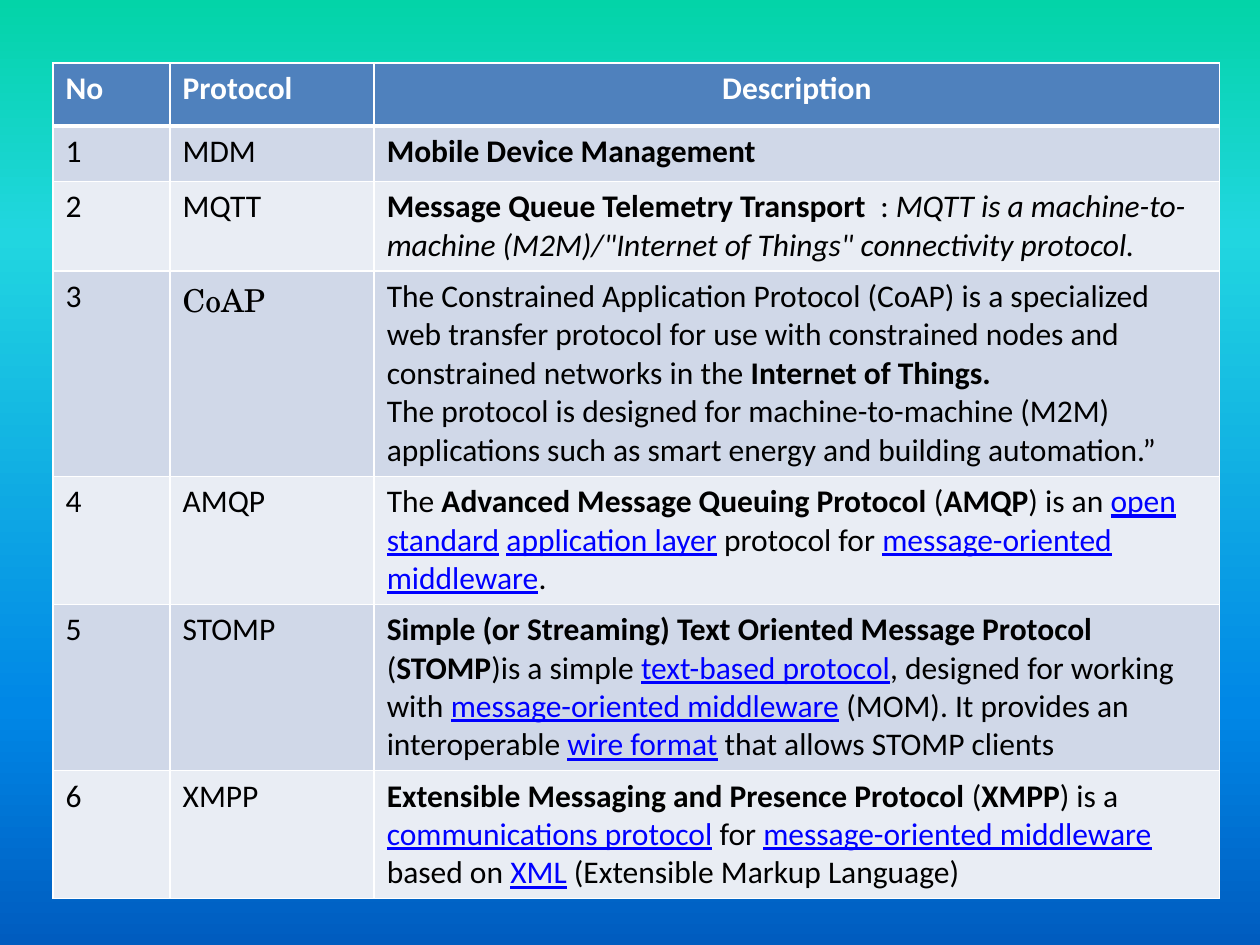
from lxml import etree
from pptx import Presentation
from pptx.dml.color import RGBColor
from pptx.enum import text
from pptx.oxml import ns
from pptx.util import Inches, Pt

WHITE, BLACK, LINK_BLUE = "FFFFFF", "000000", "0000FF"
HEADER_FILL = "4F81BD"
BAND_FILLS = ["D0D8E8", "E9EDF4"]
BACKGROUND_STOPS = [(0, "03D4A8"), (25, "21D6E0"), (75, "0087E6"), (100, "005CBF")]
BODY_FONT = "Calibri"
PROTOCOL_FONTS = {"CoAP": "TeX Gyre Schola"}

COLUMN_WIDTHS = [0.93, 1.62, 6.71]
ROW_HEIGHTS = [0.5, 0.44, 0.71, 1.63, 1.01, 1.32, 1.01]

PLAIN, BOLD, ITALIC, LINK, BREAK = "plain", "bold", "italic", "link", "break"
HEADERS = ["No", "Protocol", "Description"]
PROTOCOLS = [
    ("MDM", [("Mobile Device Management", BOLD)]),
    ("MQTT", [
        ("Message Queue Telemetry Transport  ", BOLD),
        (":", PLAIN),
        (' MQTT is a machine-to-machine (M2M)/"Internet of Things" connectivity protocol.', ITALIC),
    ]),
    ("CoAP", [
        ("The Constrained Application Protocol (CoAP) is a specialized web transfer protocol "
         "for use with constrained nodes and constrained networks in the ", PLAIN),
        ("Internet of Things. ", BOLD),
        ("", BREAK),
        ("The protocol is designed for machine-to-machine (M2M) applications such as "
         "smart energy and building automation.”", PLAIN),
    ]),
    ("AMQP", [
        ("The ", PLAIN),
        ("Advanced Message Queuing Protocol", BOLD),
        (" (", PLAIN),
        ("AMQP", BOLD),
        (") is an ", PLAIN),
        ("open standard", LINK),
        (" ", PLAIN),
        ("application layer", LINK),
        (" protocol for ", PLAIN),
        ("message-oriented middleware", LINK),
        (".", PLAIN),
    ]),
    ("STOMP", [
        ("Simple (or Streaming) Text Oriented Message Protocol", BOLD),
        (" (", PLAIN),
        ("STOMP", BOLD),
        (")is a simple ", PLAIN),
        ("text-based protocol", LINK),
        (", designed for working with ", PLAIN),
        ("message-oriented middleware", LINK),
        (" (MOM). It provides an interoperable ", PLAIN),
        ("wire format", LINK),
        (" that allows STOMP clients ", PLAIN),
    ]),
    ("XMPP", [
        ("Extensible Messaging and Presence Protocol", BOLD),
        (" (", PLAIN),
        ("XMPP", BOLD),
        (") is a ", PLAIN),
        ("communications protocol", LINK),
        (" for ", PLAIN),
        ("message-oriented middleware", LINK),
        (" based on ", PLAIN),
        ("XML", LINK),
        (" (Extensible Markup Language)", PLAIN),
    ]),
]


def rgb(hex_color):
    return RGBColor.from_string(hex_color)


def set_gradient_background(slide, stops):
    fill = slide.background.fill
    fill.gradient()
    fill.gradient_angle = 270
    stop_list = slide.element.find(".//" + ns.qn("a:gsLst"))
    for old_stop in list(stop_list):
        stop_list.remove(old_stop)
    for percent, color in stops:
        stop = etree.SubElement(stop_list, ns.qn("a:gs"), pos=str(percent * 1000))
        etree.SubElement(stop, ns.qn("a:srgbClr"), val=color)


def set_borders(cell, color, bottom_points):
    """Draw 1 pt borders, with a bottom border of its own width."""
    properties = cell._tc.get_or_add_tcPr()
    widths = {"a:lnL": 1, "a:lnR": 1, "a:lnT": 1, "a:lnB": bottom_points}
    for position, (tag, points) in enumerate(widths.items()):
        line = etree.Element(ns.qn(tag), w=str(Pt(points)))
        fill = etree.SubElement(line, ns.qn("a:solidFill"))
        etree.SubElement(fill, ns.qn("a:srgbClr"), val=color)
        properties.insert(position, line)


def add_run(paragraph, content, style, color, font_name):
    run = paragraph.add_run()
    run.text = content
    font = run.font
    font.name, font.size = font_name, Pt(18)
    font.bold = style == BOLD
    font.italic = style == ITALIC
    font.underline = style == LINK
    font.color.rgb = rgb(LINK_BLUE if style == LINK else color)


def fill_cell(cell, runs, fill, color=BLACK, font_name=BODY_FONT, bottom_points=1):
    cell.fill.solid()
    cell.fill.fore_color.rgb = rgb(fill)
    set_borders(cell, WHITE, bottom_points)
    paragraph = cell.text_frame.paragraphs[0]
    for content, style in runs:
        if style == BREAK:
            paragraph.add_line_break()
        else:
            add_run(paragraph, content, style, color, font_name)


def add_protocol_table(slide):
    frame = slide.shapes.add_table(
        len(ROW_HEIGHTS), len(COLUMN_WIDTHS), Inches(0.42), Inches(0.5),
        Inches(sum(COLUMN_WIDTHS)), Inches(sum(ROW_HEIGHTS)))
    table = frame.table
    for column, width in zip(table.columns, COLUMN_WIDTHS):
        column.width = Inches(width)
    for row, height in zip(table.rows, ROW_HEIGHTS):
        row.height = Inches(height)

    for index, header in enumerate(HEADERS):
        fill_cell(table.cell(0, index), [(header, BOLD)], HEADER_FILL, WHITE, bottom_points=3)
    description_header = table.cell(0, 2).text_frame.paragraphs[0]
    description_header.alignment = text.PP_ALIGN.CENTER

    for number, (protocol, description) in enumerate(PROTOCOLS, start=1):
        fill = BAND_FILLS[(number - 1) % 2]
        protocol_font = PROTOCOL_FONTS.get(protocol, BODY_FONT)
        fill_cell(table.cell(number, 0), [(str(number), PLAIN)], fill)
        fill_cell(table.cell(number, 1), [(protocol, PLAIN)], fill, font_name=protocol_font)
        fill_cell(table.cell(number, 2), description, fill)


def main():
    presentation = Presentation()
    presentation.slide_width = Inches(10)
    presentation.slide_height = Inches(7.5)
    slide = presentation.slides.add_slide(presentation.slide_layouts[6])
    set_gradient_background(slide, BACKGROUND_STOPS)
    add_protocol_table(slide)
    presentation.save("out.pptx")


if __name__ == "__main__":
    main()
